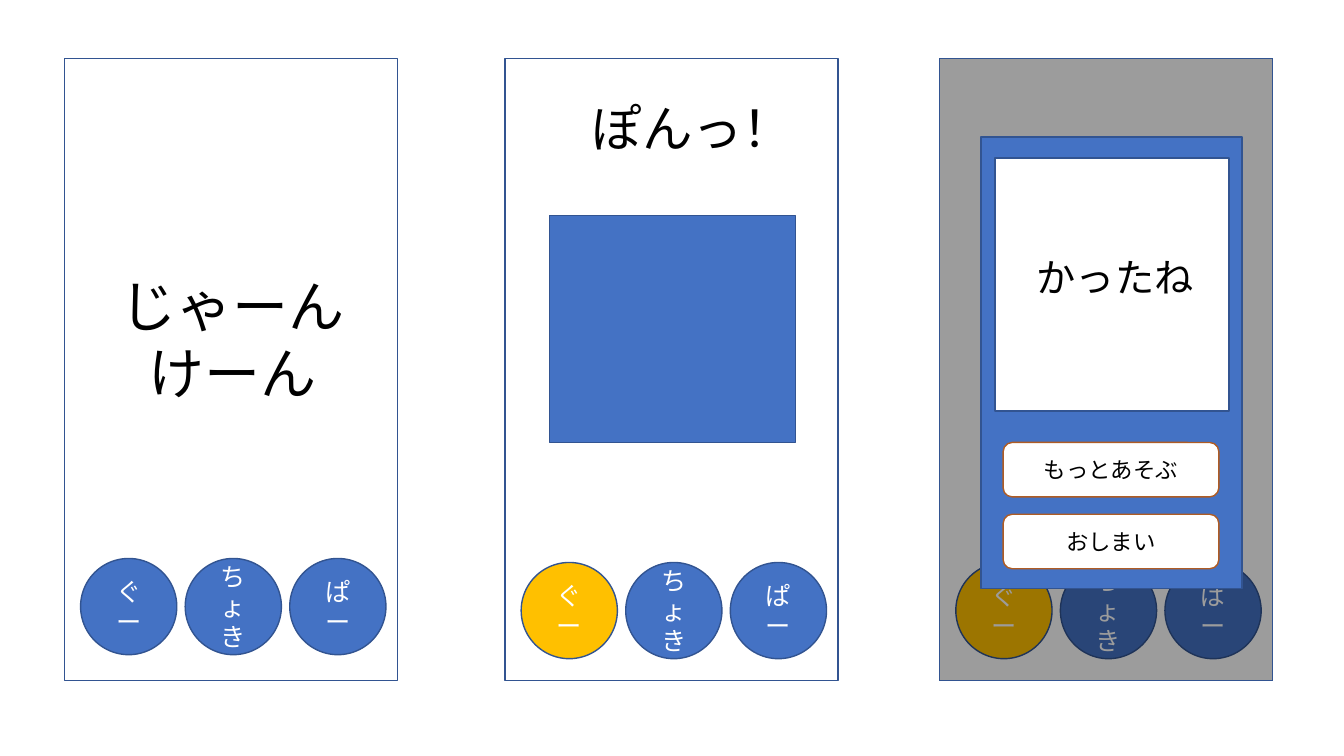
import pptx
import pptx.dml.color
import pptx.enum.shapes
import pptx.enum.text
import pptx.oxml.ns
import pptx.util
from lxml import etree

FONT = "Noto Sans CJK JP"
BLUE, NAVY, GOLD, RUST = "4472C4", "325491", "FFC000", "AF5C24"
WHITE, BLACK = "FFFFFF", "000000"
KIND = pptx.enum.shapes.MSO_SHAPE


def color(value):
    """Turn a hex string into a colour."""
    return pptx.dml.color.RGBColor.from_string(value)


class Board:
    """Holds the style, the slide and the shape collection being filled.

    Boxes are (left, top, width, height) in percent of the slide.
    """

    def __init__(self, prs):
        """Add a blank slide."""
        self.size = (prs.slide_width, prs.slide_height)
        self.slide = prs.slides.add_slide(prs.slide_layouts[6])
        self.shapes = self.slide.shapes

    def group(self):
        """Send the next elements to a new group."""
        self.shapes = self.slide.shapes.add_group_shape().shapes

    def place(self, box):
        """Convert a box to slide lengths."""
        return [round(share * self.size[i % 2] / 100) for i, share in enumerate(box)]

    def add_lines(self, sp, lines, size, ink):
        """Add centred lines, one paragraph each."""
        tf = sp.text_frame
        tf.word_wrap = True
        for i, line in enumerate(lines):
            p = tf.add_paragraph() if i else tf.paragraphs[0]
            p.alignment = pptx.enum.text.PP_ALIGN.CENTER
            r = p.add_run()
            r.text = line
            r.font.size = pptx.util.Pt(size)
            r.font.color.rgb = color(ink)
            r.font.name = FONT
            ea = etree.SubElement(r.font._element, pptx.oxml.ns.qn("a:ea"))
            ea.set("typeface", FONT)

    def text(self, box, lines, size):
        """Add a black text box."""
        self.add_lines(self.shapes.add_textbox(*self.place(box)), lines, size, BLACK)

    def shape(self, box, fill=None, kind=KIND.RECTANGLE, line=NAVY, alpha=None):
        """Add an outlined shape, unfilled unless a fill is given."""
        sp = self.shapes.add_shape(kind, *self.place(box))
        sp.shadow.inherit = False
        sp.line.color.rgb = color(line)
        sp.line.width = pptx.util.Pt(1)
        if fill is None:
            sp.fill.background()
        else:
            sp.fill.solid()
            sp.fill.fore_color.rgb = color(fill)
        if alpha is not None:
            clr = sp._element.spPr.find(".//" + pptx.oxml.ns.qn("a:srgbClr"))
            etree.SubElement(clr, pptx.oxml.ns.qn("a:alpha")).set("val", str(alpha * 1000))
        return sp

    def label(self, box, caption, size, ink, **style):
        """Add a shape with a caption in its middle."""
        sp = self.shape(box, **style)
        sp.text_frame.vertical_anchor = pptx.enum.text.MSO_ANCHOR.MIDDLE
        self.add_lines(sp, [caption], size, ink)

    def hands(self, left, top, first_fill):
        """Add the three round hand buttons of the phone at left."""
        for i, caption in enumerate(("ぐー", "ちょき", "ぱー")):
            self.label((left + 1.2 + 7.78 * i, top, 7.16, 12.73), caption, 18, WHITE,
                       fill=BLUE if i else first_fill, kind=KIND.OVAL)


prs = pptx.Presentation()
prs.slide_width = pptx.util.Inches(13.33)
prs.slide_height = pptx.util.Inches(7.5)
s = Board(prs)

call, reveal, result = [(left, 7.73, 24.76, 82.27) for left in (4.8, 37.58, 69.92)]

# Call screen
s.shape(call)
s.hands(call[0], 73.87, BLUE)
s.text((8.25, 35.2, 18.15, 19.33), ["じゃーん", "けーん"], 40)

# Reveal screen
s.shape(reveal)
s.shape((40.88, 28.53, 18.3, 30), BLUE)
s.text((42.38, 12.13, 18.3, 9.47), ["ぽんっ！"], 36)
s.hands(reveal[0], 74.4, GOLD)

# Result screen, dimmed
s.group()
s.shape(result)
s.hands(result[0], 74.4, GOLD)
s.shape(result, BLACK, alpha=39)

# Result dialog
s.group()
s.shape((72.99, 18.13, 19.43, 59.73), BLUE)
for i, caption in enumerate(("もっとあそぶ", "おしまい")):
    s.label((74.64, 58.53 + 9.5 * i, 16.05, 7.2), caption, 16, BLACK,
            fill=WHITE, kind=KIND.ROUNDED_RECTANGLE, line=RUST)
s.shape((74.04, 20.93, 17.4, 33.47), WHITE)
s.text((75.17, 32.8, 15.6, 7.6), ["かったね"], 28)

prs.save("out.pptx")
